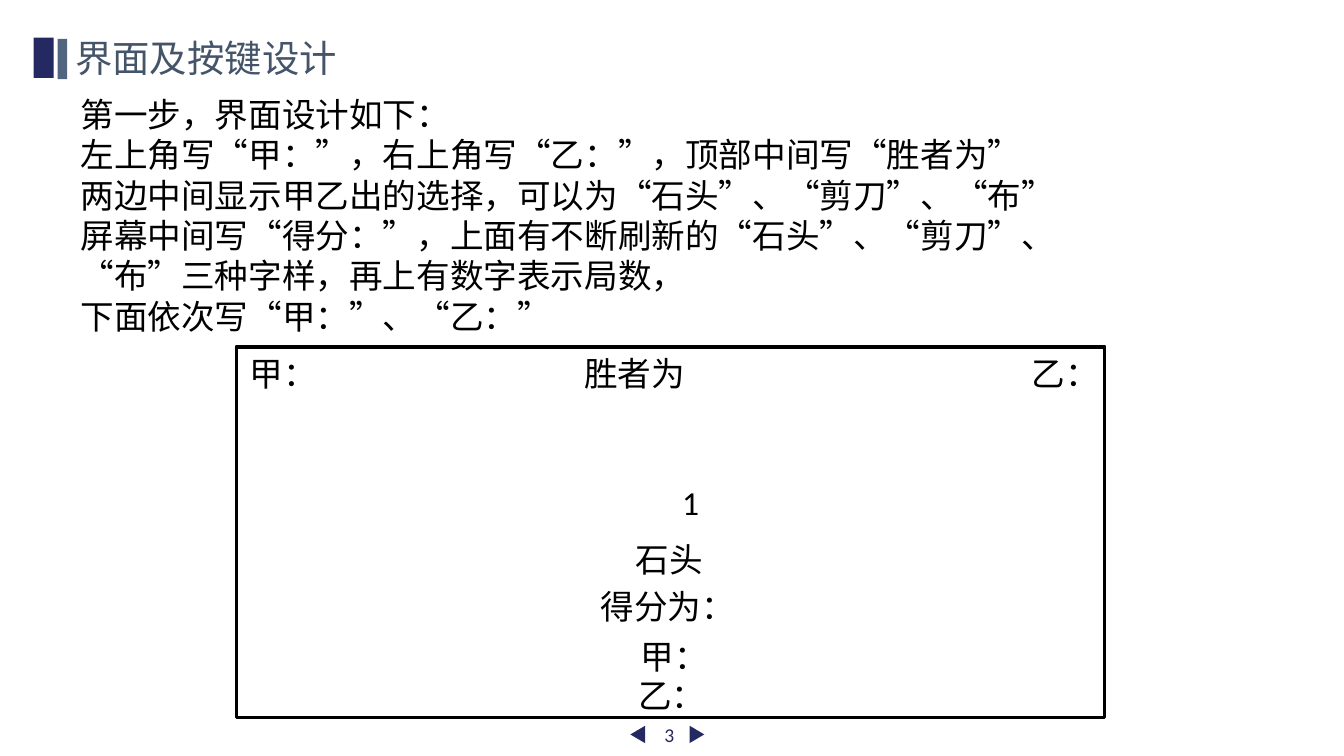
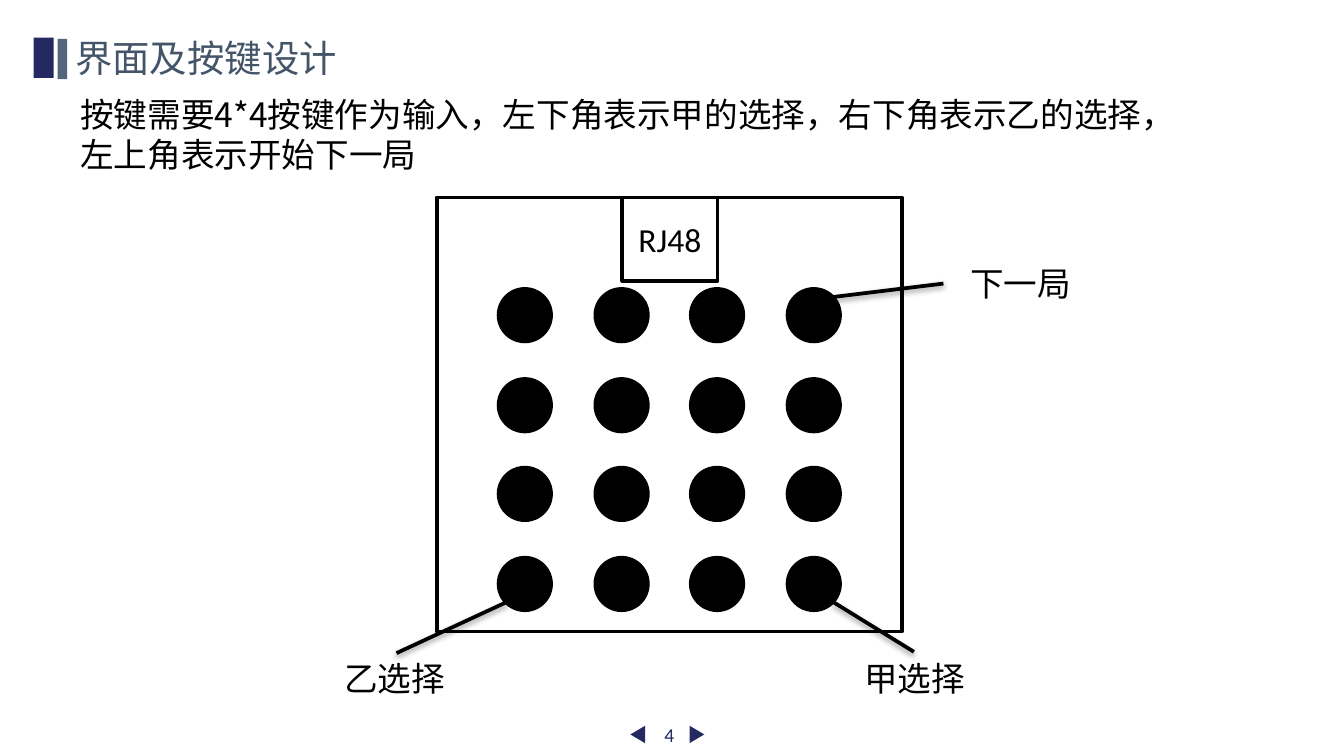
import typing
from dataclasses import dataclass

import lxml.etree
import pptx
import pptx.dml.color
import pptx.enum.shapes
import pptx.enum.text
import pptx.oxml.ns
import pptx.util

PX = 9144  # EMU in one px, 100 px to the inch
WIDE = 1000 * PX
HIGH = WIDE * 9 // 16
FORM = pptx.enum.shapes.MSO_SHAPE
ALIGN = pptx.enum.text.PP_ALIGN
ANCHOR = pptx.enum.text.MSO_ANCHOR
FIT = pptx.enum.text.MSO_AUTO_SIZE
qn = pptx.oxml.ns.qn


@dataclass(frozen=True)
class Theme:
    navy: str = "252961"
    slate: str = "52657E"
    title: str = "445469"
    ink: str = "000000"
    head: str = "Manrope"
    body: str = "Noto Sans CJK SC"
    font: str = "Calibri"
    big: float = 20
    text: float = 18
    small: float = 10.5
    line: float = 2
    pitch: float = 21.6


THEME = Theme()


@dataclass(frozen=True)
class Box:
    left: int
    top: int
    width: int
    height: int

    def emu(self) -> list[int]:
        return [n * PX for n in (self.left, self.top, self.width, self.height)]


@dataclass(frozen=True)
class Label:
    text: str
    box: Box
    align: ALIGN = ALIGN.LEFT


@dataclass(frozen=True)
class Lead:
    start: tuple[int, int]
    end: tuple[int, int]
    label: Label


def shade(code: str) -> pptx.dml.color.RGBColor:
    return pptx.dml.color.RGBColor.from_string(code)


def spread(first: int, last: int, count: int) -> list[int]:
    """Evenly spaced places from first to last."""
    return [round(first + (last - first) * i / (count - 1)) for i in range(count)]


# Text
def style(frame: typing.Any, text: str, font: str = THEME.font,
          size: float = THEME.text, color: str = THEME.ink,
          align: ALIGN = ALIGN.LEFT) -> None:
    frame.text = text
    for para in frame.paragraphs:
        para.alignment = align
        for run in para.runs:
            run.font.size = pptx.util.Pt(size)
            run.font.color.rgb = shade(color)
            run.font.name = font
            east = lxml.etree.SubElement(run.font._element, qn("a:ea"))
            east.set("typeface", font)


def write(shapes: typing.Any, label: Label, **look: typing.Any) -> typing.Any:
    frame = shapes.add_textbox(*label.box.emu()).text_frame
    frame.word_wrap = True
    frame.auto_size = FIT.SHAPE_TO_FIT_TEXT
    style(frame, label.text, align=label.align, **look)
    return frame


# Shapes and lines
def draw(shapes: typing.Any, form: FORM, box: Box, fill: str = "",
         line: str = "", turn: int = 0) -> typing.Any:
    shape = shapes.add_shape(form, *box.emu())
    shape.shadow.inherit = False
    shape.rotation = turn
    if fill:
        shape.fill.solid()
        shape.fill.fore_color.rgb = shade(fill)
    else:
        shape.fill.background()
    if line:
        shape.line.color.rgb = shade(line)
        shape.line.width = pptx.util.Pt(THEME.line)
    else:
        shape.line.fill.background()
    return shape


def link(shapes: typing.Any, lead: Lead) -> None:
    ends = [n * PX for n in lead.start + lead.end]
    line = shapes.add_connector(pptx.enum.shapes.MSO_CONNECTOR.STRAIGHT, *ends)
    line.line.color.rgb = shade(THEME.ink)
    line.line.width = pptx.util.Pt(THEME.line)
    # Soft shadow below the line
    effect = lxml.etree.SubElement(line._element.spPr, qn("a:effectLst"))
    cast = lxml.etree.SubElement(effect, qn("a:outerShdw"), blurRad="40000",
                                 dist="20000", dir="5400000", rotWithShape="0")
    tint = lxml.etree.SubElement(cast, qn("a:srgbClr"), val=THEME.ink)
    lxml.etree.SubElement(tint, qn("a:alpha"), val="38000")


# Shared frame: footer, title mark, title and body text
def start(deck: typing.Any, number: int, title: str, body: Label) -> typing.Any:
    slide = deck.slides.add_slide(deck.slide_layouts.get_by_name("Title Only"))
    shapes = slide.shapes
    for left, turn in ((512, 90), (468, 270)):
        draw(shapes, FORM.ISOSCELES_TRIANGLE, Box(left, 541, 13, 11),
             THEME.navy, turn=turn)
    page = write(shapes, Label(str(number), Box(476, 532, 44, 30), ALIGN.CENTER),
                 size=THEME.small, color=THEME.navy)
    page.auto_size = FIT.NONE
    page.vertical_anchor = ANCHOR.MIDDLE

    mark = shapes.add_group_shape().shapes
    draw(mark, FORM.RECTANGLE, Box(25, 28, 15, 30), THEME.navy)
    draw(mark, FORM.RECTANGLE, Box(43, 29, 7, 30), THEME.slate)

    head = shapes.title
    head.left, head.top, head.width, head.height = Box(46, 21, 217, 44).emu()
    frame = head.text_frame
    frame.word_wrap = False
    frame.auto_size = FIT.SHAPE_TO_FIT_TEXT
    frame.vertical_anchor = ANCHOR.TOP
    style(frame, title, THEME.head, THEME.big, THEME.title)

    for para in write(shapes, body, font=THEME.body).paragraphs:
        para.line_spacing = pptx.util.Pt(THEME.pitch)
    return slide


TITLE = "界面及按键设计"

# Screen layout
STEPS = Label("\n".join((
    "第一步，界面设计如下：",
    "左上角写“甲：”，右上角写“乙：”，顶部中间写“胜者为”",
    "两边中间显示甲乙出的选择，可以为“石头”、“剪刀”、“布”",
    "屏幕中间写“得分：”，上面有不断刷新的“石头”、“剪刀”、“布”三种字样，再上有数字表示局数，",
    "下面依次写“甲：”、“乙：”",
)), Box(50, 65, 791, 192))
SCREEN = Box(176, 258, 646, 276)
FIELDS = (
    Label("甲：", Box(176, 258, 63, 40)),
    Label("乙：", Box(758, 258, 63, 40)),
    Label("胜者为", Box(425, 258, 144, 40)),
    Label("得分为：", Box(425, 431, 144, 40), ALIGN.CENTER),
    Label("石头", Box(426, 396, 144, 40), ALIGN.CENTER),
    Label("1", Box(425, 354, 105, 40), ALIGN.RIGHT),
    Label("乙：", Box(465, 497, 63, 40)),
    Label("甲：", Box(467, 468, 63, 40)),
)

# Keypad
KEYS = Label("按键需要4*4按键作为输入，左下角表示甲的选择，右下角表示乙的选择，左上角表示开始下一局",
             Box(50, 65, 844, 71))
BOARD = Box(325, 147, 346, 323)
PORT = Box(463, 147, 71, 62)
DOT = 39
LEADS = (
    Lead((377, 448), (295, 486), Label("乙选择", Box(236, 485, 115, 40), ALIGN.CENTER)),
    Lead((620, 448), (680, 485), Label("甲选择", Box(623, 485, 115, 40), ALIGN.CENTER)),
    Lead((620, 221), (702, 211), Label("下一局", Box(702, 191, 115, 40), ALIGN.CENTER)),
)


def screen(deck: typing.Any) -> None:
    slide = start(deck, 3, TITLE, STEPS)
    group = slide.shapes.add_group_shape().shapes
    draw(group, FORM.RECTANGLE, SCREEN, line=THEME.ink)
    for field in FIELDS:
        write(group, field)


def keypad(deck: typing.Any) -> None:
    slide = start(deck, 4, TITLE, KEYS)
    group = slide.shapes.add_group_shape().shapes
    draw(group, FORM.RECTANGLE, BOARD, line=THEME.ink)
    port = draw(group, FORM.RECTANGLE, PORT, line=THEME.ink).text_frame
    port.vertical_anchor = ANCHOR.MIDDLE
    style(port, "RJ48", align=ALIGN.CENTER)
    for top in spread(215, 415, 4):
        for left in spread(371, 586, 4):
            draw(group, FORM.OVAL, Box(left, top, DOT, DOT), THEME.ink, THEME.ink)
    for lead in LEADS:
        link(slide.shapes, lead)
        write(slide.shapes, lead.label)


def main() -> None:
    deck = pptx.Presentation()
    deck.slide_width, deck.slide_height = WIDE, HIGH
    screen(deck)
    keypad(deck)
    deck.save("out.pptx")


if __name__ == "__main__":
    main()
